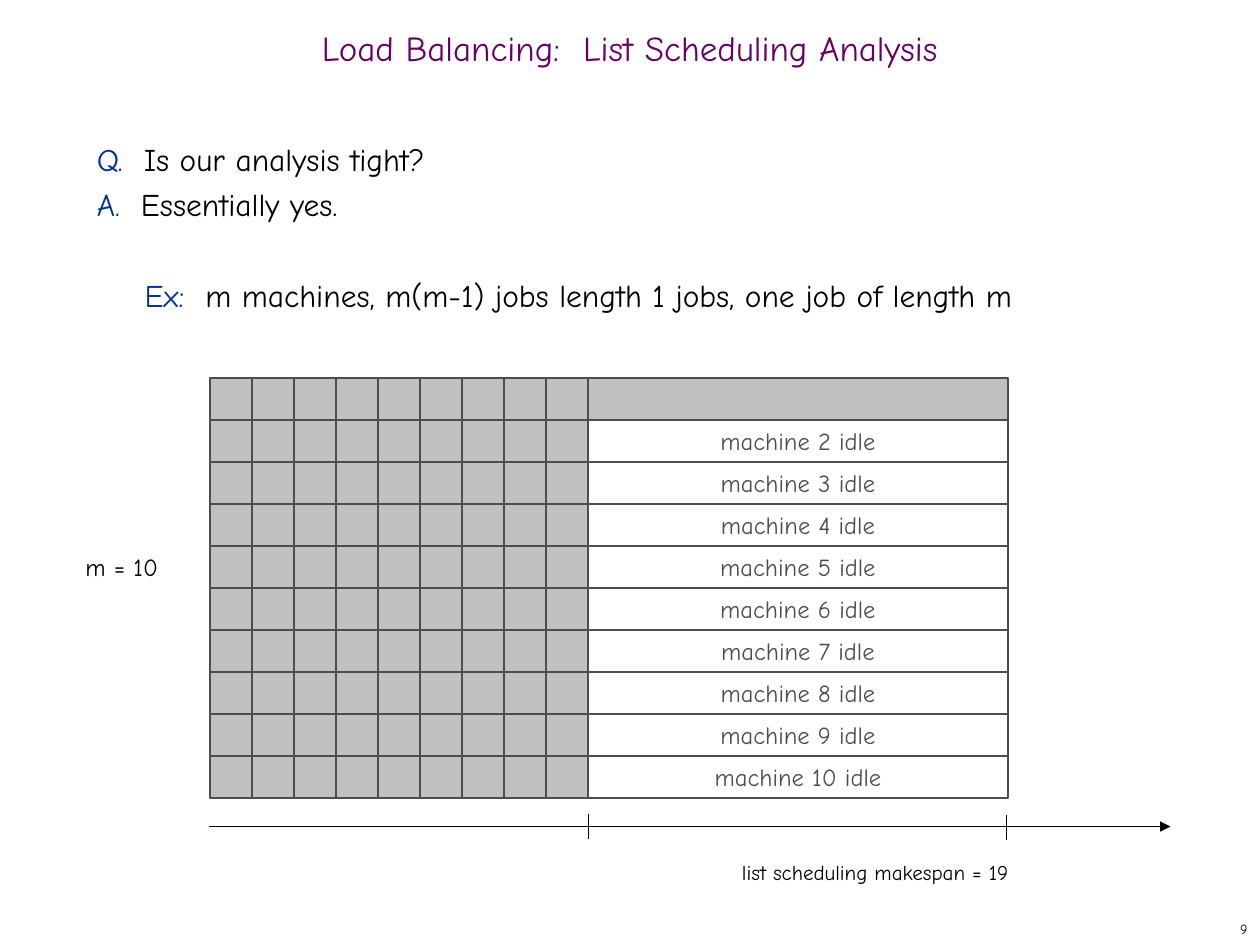
"""Build the list scheduling analysis slide with its machine schedule."""
from lxml.etree import SubElement
from pptx import Presentation
from pptx.dml.color import RGBColor
from pptx.enum.shapes import MSO_CONNECTOR as Connector, MSO_SHAPE as Shape
from pptx.enum.text import MSO_ANCHOR as Anchor, PP_ALIGN as Align
from pptx.oxml.ns import qn
from pptx.util import Inches, Pt

BLACK = RGBColor(0x00, 0x00, 0x00)
WHITE = RGBColor(0xFF, 0xFF, 0xFF)
PURPLE = RGBColor(0x66, 0x00, 0x66)
BLUE = RGBColor(0x00, 0x33, 0x99)
SILVER = RGBColor(0xC0, 0xC0, 0xC0)
GRAY = RGBColor(0x4D, 0x4D, 0x4D)

MACHINES = 10
UNIT = 1 / 3
GRID_LEFT, GRID_TOP = 5 / 3, 3
LONG_LEFT = GRID_LEFT + (MACHINES - 1) * UNIT


class SlideBuilder:
    """Hold the text and line style and add elements to one slide."""

    font = "Comic Neue"
    line_width = Pt(0.75)

    def __init__(self, page):
        self.page = page

    def add_spans(self, para, spans, size, align=Align.LEFT):
        para.alignment = align
        for text, color in spans:
            span = para.add_run()
            span.text = text
            span.font.name = self.font
            span.font.size = Pt(size)
            span.font.color.rgb = color

    def add_text(self, left, top, width, height, paragraphs, size,
                 align=Align.LEFT, anchor=Anchor.TOP, wrap=True, spacing=None):
        box = self.page.shapes.add_textbox(
            Inches(left), Inches(top), Inches(width), Inches(height))
        frame = box.text_frame
        frame.word_wrap = wrap
        frame.vertical_anchor = anchor
        for index, spans in enumerate(paragraphs):
            para = frame.add_paragraph() if index else frame.paragraphs[0]
            para.line_spacing = spacing
            self.add_spans(para, spans, size, align)
        return box

    def add_job(self, left, top, width, fill, label=None):
        box = self.page.shapes.add_shape(
            Shape.RECTANGLE, Inches(left), Inches(top), Inches(width), Inches(UNIT))
        box.shadow.inherit = False
        box.fill.solid()
        box.fill.fore_color.rgb = fill
        box.line.color.rgb = GRAY
        box.line.width = self.line_width
        if label:
            frame = box.text_frame
            frame.word_wrap = False
            frame.vertical_anchor = Anchor.MIDDLE
            self.add_spans(frame.paragraphs[0], [(label, GRAY)], 14, Align.CENTER)

    def add_line(self, start, end, arrow=False):
        connector = self.page.shapes.add_connector(
            Connector.STRAIGHT, *map(Inches, start + end))
        connector.line.color.rgb = BLACK
        connector.line.width = self.line_width
        properties = connector._element.spPr
        if arrow:
            SubElement(properties.find(qn("a:ln")), qn("a:tailEnd"), type="triangle")
        SubElement(properties, qn("a:effectLst"))


def main():
    deck = Presentation()
    deck.slide_width, deck.slide_height = Inches(10), Inches(7.5)
    builder = SlideBuilder(deck.slides.add_slide(deck.slide_layouts[6]))

    builder.add_text(0, 0.17, 10, 0.5,
                     [[("Load Balancing:  List Scheduling Analysis", PURPLE)]],
                     20, Align.CENTER, Anchor.MIDDLE, spacing=0.7)
    body = builder.add_text(0.67, 1, 8.58, 5.92, [
        [("Q.  ", BLUE), ("Is our analysis tight?", BLACK)],
        [("A.  ", BLUE), ("Essentially yes.", BLACK)],
        [("Ex:  ", BLUE),
         ("m machines, m(m-1) jobs length 1 jobs, one job of length m", BLACK)],
    ], 18, spacing=Pt(26))
    example = body.text_frame.paragraphs[-1]
    example.space_before = Pt(26)
    example._p.get_or_add_pPr().set("marL", str(Inches(0.38)))

    for row in range(MACHINES):
        top = GRID_TOP + row * UNIT
        for column in range(MACHINES - 1):
            builder.add_job(GRID_LEFT + column * UNIT, top, UNIT, SILVER)
        if row == 0:
            builder.add_job(LONG_LEFT, top, MACHINES * UNIT, SILVER)
        else:
            builder.add_job(LONG_LEFT, top, MACHINES * UNIT, WHITE,
                            f"machine {row + 1} idle")

    builder.add_line((1.66, 6.56), (9.29, 6.56), arrow=True)
    for left, top in ((7.99, 6.47), (4.67, 6.46)):
        builder.add_line((left, top), (left, top + 0.2))

    builder.add_text(5.79, 6.77, 2.32, 0.3,
                     [[("list scheduling makespan = 19", BLACK)]], 12, wrap=False)
    builder.add_text(0.58, 4.33, 0.92, 0.33, [[("m = 10", BLACK)]], 14)
    builder.add_text(7.92, 7.25, 2.08, 0.25, [[("9", BLACK)]], 8,
                     Align.RIGHT, Anchor.MIDDLE)
    deck.save("out.pptx")


if __name__ == "__main__":
    main()
